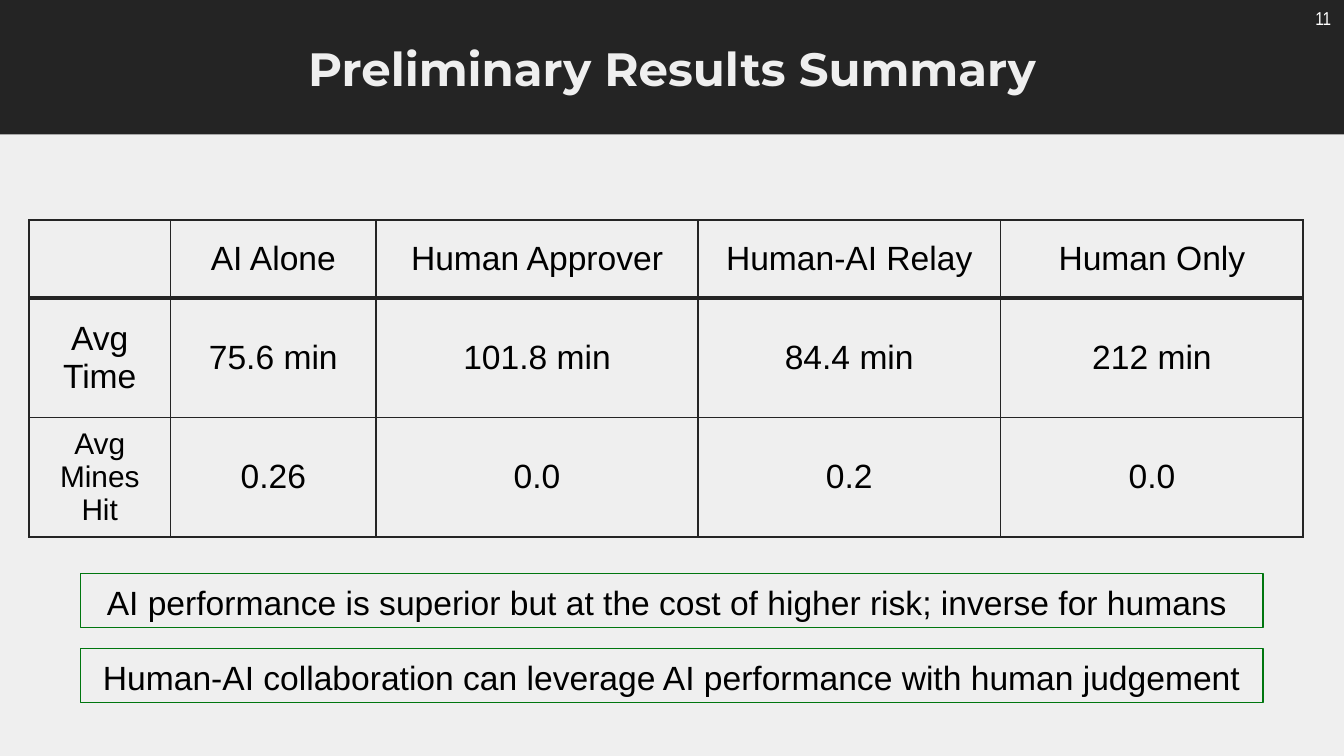
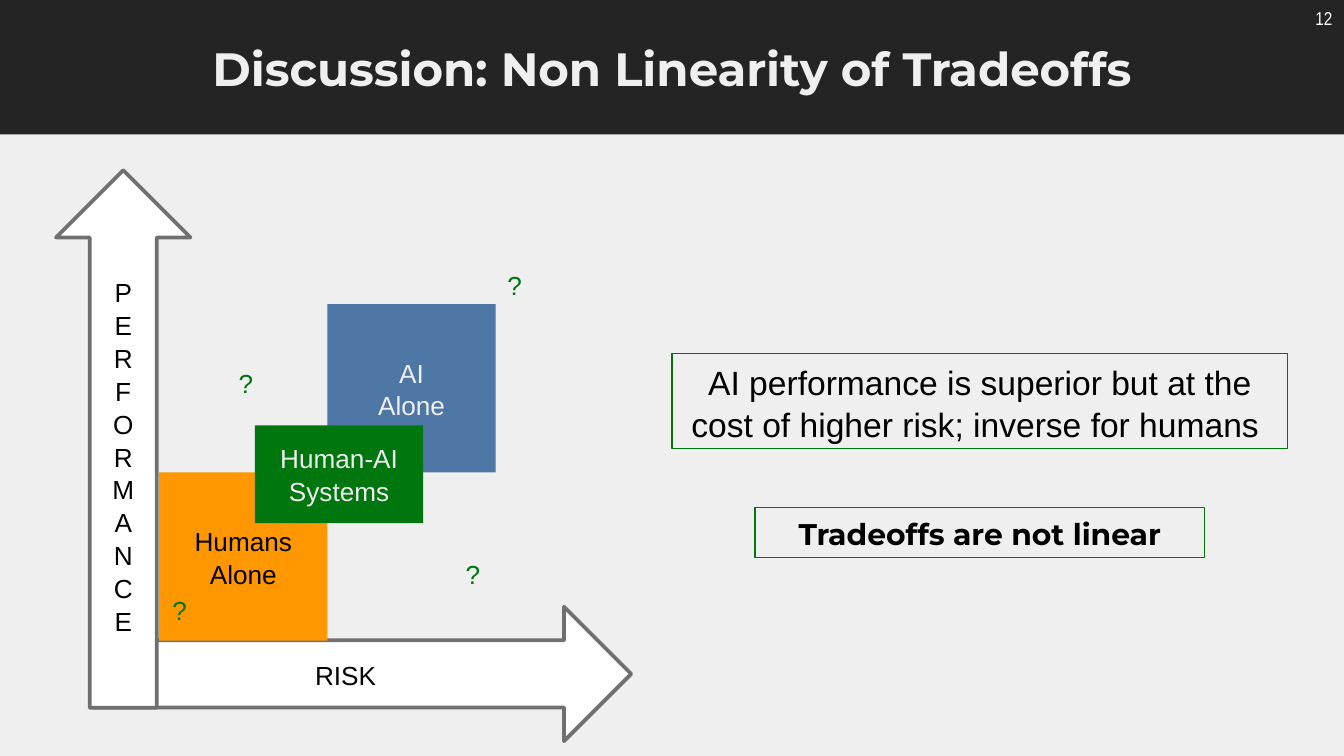
from lxml.etree import SubElement
from pptx import Presentation
from pptx.dml.color import RGBColor
from pptx.enum.shapes import MSO_SHAPE
from pptx.enum.text import MSO_ANCHOR, MSO_AUTO_SIZE, PP_ALIGN
from pptx.oxml.ns import qn
from pptx.util import Cm, Pt

DARK, LIGHT, WHITE, BLACK = "242424", "EFEFEF", "FFFFFF", "000000"
GREEN, ORANGE, BLUE, GRAY = "00760F", "FF9700", "4E77A5", "707070"
WIDTH, HEIGHT, BAND_HEIGHT = 25.4, 14.29, 2.54

TITLE = {"name": "Montserrat", "size": 25, "bold": True, "color": LIGHT}
PAGE = {"name": "Arial Narrow", "size": 10, "color": WHITE}
BODY = {"name": "Arial", "size": 18, "color": BLACK}
SMALL = {**BODY, "size": 14}
SMALL_LIGHT = {**SMALL, "color": LIGHT}
MARK = {**SMALL, "color": GREEN}
STRONG = {"name": "Montserrat", "size": 16, "bold": True, "color": BLACK}

RISK_NOTE = "AI performance is superior but at the cost of higher risk; inverse for humans "


def rgb(value):
    return RGBColor.from_string(value)


# Shared helpers
def write(tf, lines, fmt, align=PP_ALIGN.CENTER, spacing=None):
    for i, line in enumerate(lines):
        p = tf.paragraphs[0] if i == 0 else tf.add_paragraph()
        p.alignment = align
        p.line_spacing = spacing
        r = p.add_run()
        r.text = line
        for key, value in fmt.items():
            if key == "color":
                r.font.color.rgb = rgb(value)
            else:
                setattr(r.font, key, Pt(value) if key == "size" else value)


def add_box(s, box, kind=MSO_SHAPE.RECTANGLE, fill=None, line=None, weight=0.75,
            lines=(), fmt=SMALL):
    sp = s.shapes.add_shape(kind, *map(Cm, box))
    sp.shadow.inherit = False
    if fill:
        sp.fill.solid()
        sp.fill.fore_color.rgb = rgb(fill)
    else:
        sp.fill.background()
    if line:
        sp.line.color.rgb = rgb(line)
        sp.line.width = Pt(weight)
    else:
        sp.line.fill.background()
    sp.text_frame.word_wrap = True
    sp.text_frame.vertical_anchor = MSO_ANCHOR.MIDDLE
    write(sp.text_frame, lines, fmt, spacing=1.05)
    return sp


def add_label(s, box, text, fmt, margin_left=0.25):
    tf = s.shapes.add_textbox(*map(Cm, box)).text_frame
    tf.word_wrap = False
    tf.auto_size = MSO_AUTO_SIZE.SHAPE_TO_FIT_TEXT
    tf.margin_left = Cm(margin_left)
    write(tf, [text], fmt, PP_ALIGN.LEFT)


def add_note(s, box, text, fmt=BODY):
    tf = add_box(s, box, line=GREEN, lines=[text], fmt=fmt).text_frame
    tf.vertical_anchor = MSO_ANCHOR.TOP
    tf.auto_size = MSO_AUTO_SIZE.SHAPE_TO_FIT_TEXT


def add_titled_slide(prs, title, number):
    s = prs.slides.add_slide(prs.slide_layouts[5])
    s.background.fill.solid()
    s.background.fill.fore_color.rgb = rgb(LIGHT)

    # Header band and page number, with the title in front
    add_box(s, (0, 0, WIDTH, BAND_HEIGHT), fill=DARK)
    add_label(s, (24.28, 0, 1.19, 0.69), str(number), PAGE, margin_left=0.58)
    sp = s.shapes.title
    s.shapes._spTree.append(sp._element)
    sp.left, sp.top, sp.width, sp.height = map(Cm, (2, 0.48, 21.4, 1.6))
    tf = sp.text_frame
    for side in ("left", "top", "right", "bottom"):
        setattr(tf, f"margin_{side}", Cm(0.25))
    tf.auto_size = MSO_AUTO_SIZE.NONE
    tf.vertical_anchor = MSO_ANCHOR.MIDDLE
    write(tf, [title], TITLE)
    return s


# Results table
def set_borders(cell, weights):
    tc_pr = cell._tc.get_or_add_tcPr()
    for side, weight in zip("LRTB", weights):
        ln = SubElement(tc_pr, qn(f"a:ln{side}"), w=str(Pt(weight)))
        fill = SubElement(ln, qn("a:solidFill"))
        SubElement(fill, qn("a:srgbClr"), val=DARK)


def add_results_table(s, left, top):
    rows = [
        ["", "AI Alone", "Human Approver", "Human-AI Relay", "Human Only"],
        ["Avg Time", "75.6 min", "101.8 min", "84.4 min", "212 min"],
        ["Avg Mines Hit", "0.26", "0.0", "0.2", "0.0"],
    ]
    widths = [2.67, 3.89, 6.08, 5.72, 5.72]
    heights = [1.47, 2.26, 2.26]
    table = s.shapes.add_table(len(rows), len(widths), Cm(left), Cm(top),
                               Cm(sum(widths)), Cm(sum(heights))).table
    table.first_row = table.horz_banding = False
    for column, width in zip(table.columns, widths):
        column.width = Cm(width)
    for i, (texts, height) in enumerate(zip(rows, heights)):
        table.rows[i].height = Cm(height)
        for j, text in enumerate(texts):
            cell = table.cell(i, j)
            set_borders(cell, (1, 1, 2.25 if i == 1 else 1, 2.25 if i == 0 else 1))
            cell.fill.background()
            cell.vertical_anchor = MSO_ANCHOR.MIDDLE
            if text:
                size = 16 if text == "Avg Mines Hit" else 18
                write(cell.text_frame, [text], {**BODY, "size": size})


# Performance against risk
def add_tradeoff_diagram(s, left, top):
    length, thick, unit = 10.16, 2.54, 3.18
    human_x, human_y = 1.95, 5.71
    axis = {"fill": WHITE, "line": GRAY, "weight": 2}
    add_box(s, (left + 0.71, top + 8.25, length, thick), MSO_SHAPE.RIGHT_ARROW,
            lines=["RISK"], **axis)
    add_box(s, (left, top, thick, length), MSO_SHAPE.UP_ARROW,
            lines=list("PERFORMANCE"), **axis)

    blocks = [
        (human_x, human_y, unit, ORANGE, ["Humans", "Alone"], SMALL),
        (human_x + unit, human_y - unit, unit, BLUE, ["AI", "Alone"], SMALL_LIGHT),
        (3.76, 4.82, 1.85, GREEN, ["Human-AI Systems"], SMALL_LIGHT),
    ]
    for x, y, height, fill, lines, fmt in blocks:
        add_box(s, (left + x, top + y, unit, height), fill=fill, lines=lines, fmt=fmt)

    for x, y in [(7.49, 7.21), (3.2, 3.6), (human_x, 7.9), (8.28, 1.75)]:
        add_label(s, (left + x, top + y, 0.79, 0.86), "?", MARK)


def build_results(prs):
    s = add_titled_slide(prs, "Preliminary Results Summary", 11)
    add_results_table(s, 0.55, 4.16)
    notes = [RISK_NOTE,
             "Human-AI collaboration can leverage AI performance with human judgement"]
    for i, text in enumerate(notes):
        add_note(s, (1.52, 10.84 + 1.42 * i, 22.35, 1.02), text)


def build_discussion(prs):
    s = add_titled_slide(prs, "Discussion: Non Linearity of Tradeoffs", 12)
    add_tradeoff_diagram(s, 1.06, 3.22)
    add_note(s, (14.27, 9.59, 8.5, 0.95), "Tradeoffs are not linear", STRONG)
    add_note(s, (12.7, 6.68, 11.64, 1.8), RISK_NOTE)


def main():
    prs = Presentation()
    prs.slide_width, prs.slide_height = Cm(WIDTH), Cm(HEIGHT)
    build_results(prs)
    build_discussion(prs)
    prs.save("out.pptx")


if __name__ == "__main__":
    main()
